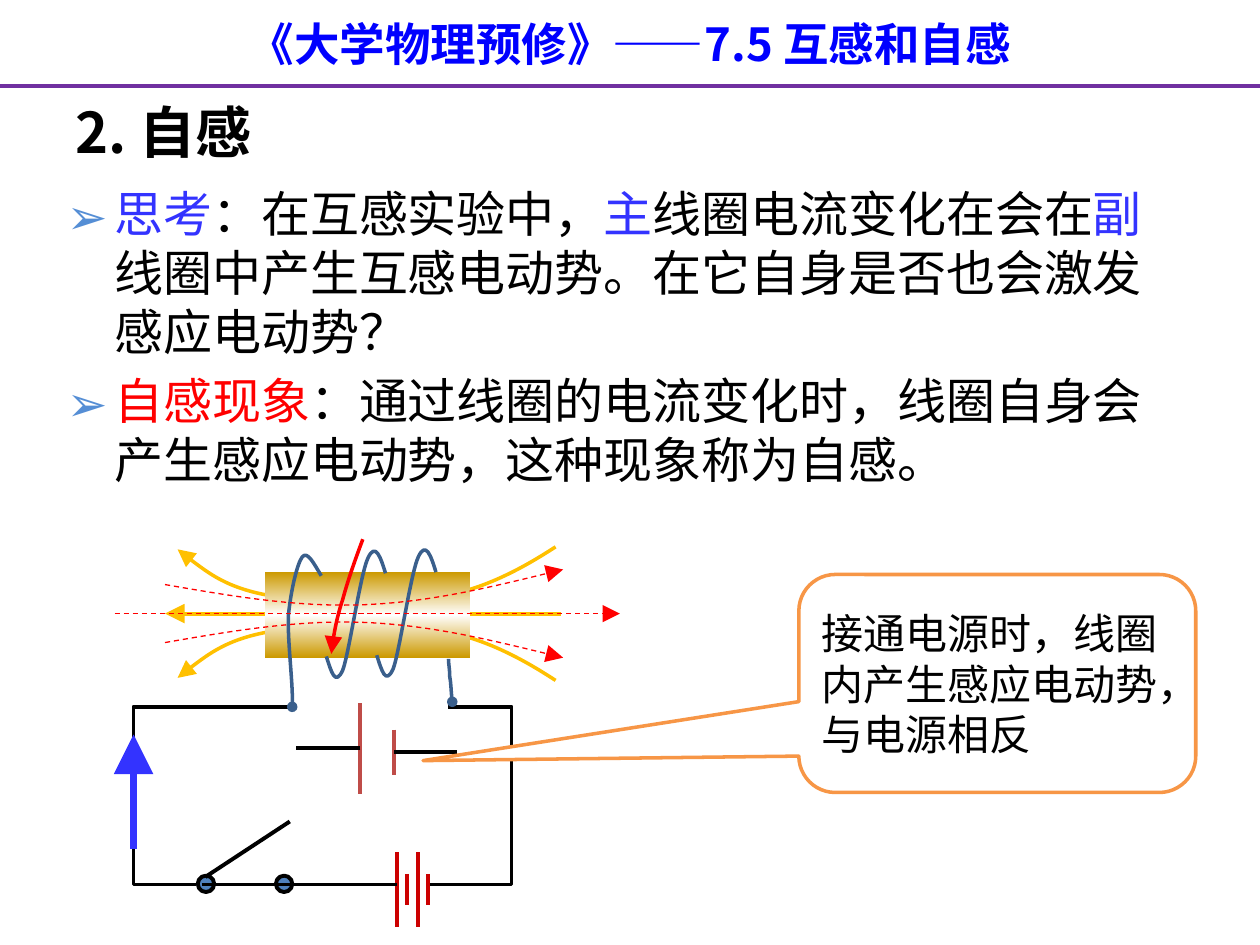
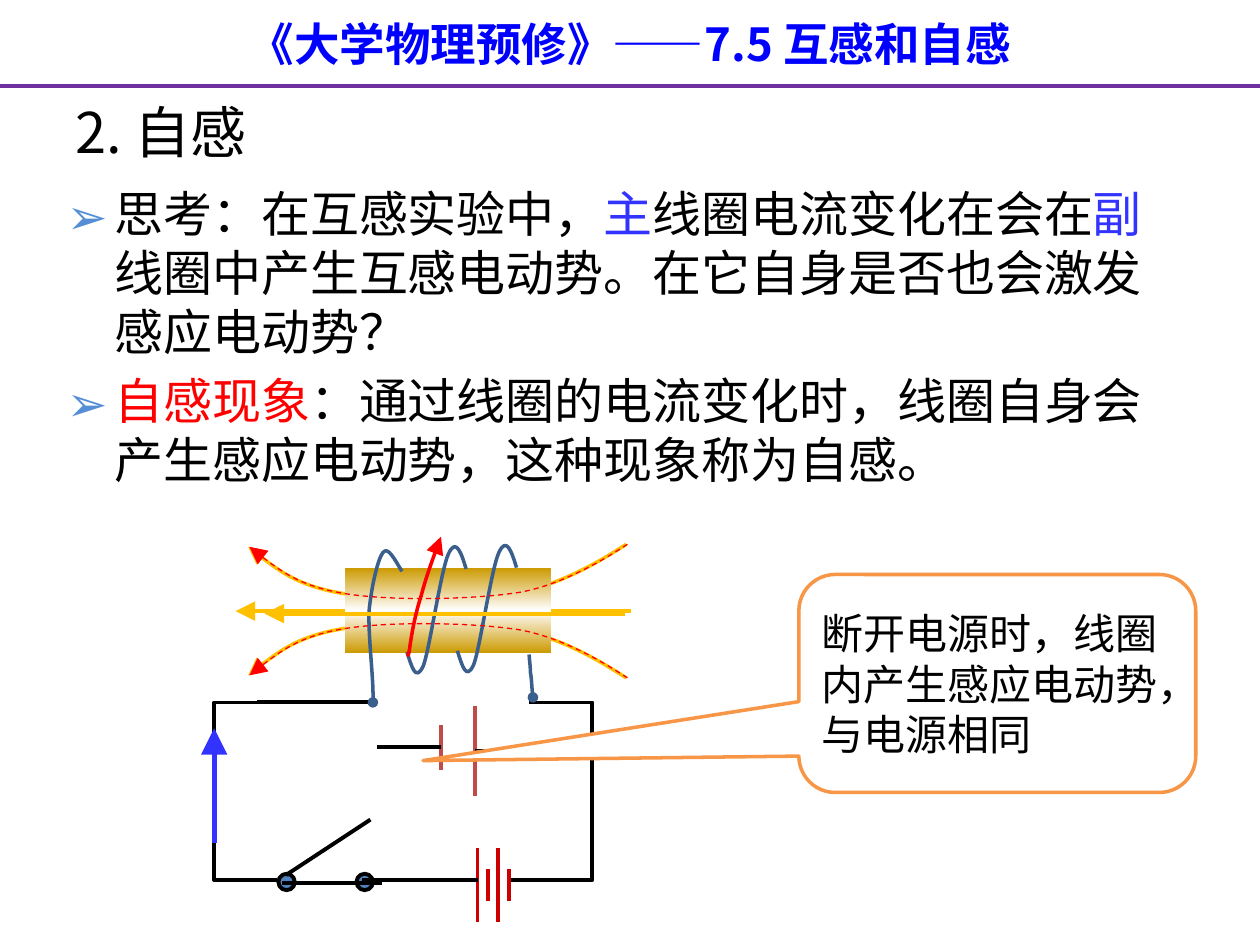
from copy import deepcopy

from lxml.etree import SubElement
from pptx import Presentation
from pptx.dml.color import RGBColor
from pptx.enum.dml import MSO_LINE_DASH_STYLE as Dash
from pptx.enum.shapes import MSO_CONNECTOR as Connector, MSO_SHAPE as Shape
from pptx.enum.text import MSO_ANCHOR as Anchor, PP_ALIGN as Align
from pptx.oxml.ns import qn
from pptx.util import Inches, Pt

COLUMNS, ROWS = 100, 75
WIDTH, HEIGHT = Inches(10), Inches(7.5)
FONT = "Noto Sans CJK SC"
BLACK, WHITE, RED, BLUE = "000000", "FFFFFF", "FF0000", "3333FF"
GOLD, BRASS, COIL, CONTACT = "FFC000", "CC9900", "3A5F8C", "4F81BD"
BATTERY, PLATE, ORANGE = "CC0000", "BF4C48", "F79646"
HEADING, RULE, BULLET = "0000FF", "7030A0", "558ED5"

AXIS = 48.7
FIELD_CURVE = [(44.1, 5.3), (43, 4.6), (39.4, 2.2), (35.6, 1.5),
               (31.9, 0.9), (25.2, 0.8), (21.6, 1.4),
               (18, 2), (15.3, 4.1), (14.1, 5.1)]
INDUCED_CURVE = [(13.1, 2.3), (18.3, 1.4), (23.5, 0.5), (28.8, 0.7),
                 (34, 0.9), (39.4, 2.2), (44.7, 3.5)]
COIL_START = [(23.2, 56.1), (23.3, 54.5), (22.8, 50.7), (22.9, 48.8),
              (23.1, 46.8), (23.6, 44.7), (24, 44.2),
              (24.4, 43.7), (24.9, 44.7), (25.5, 45.7)]
COIL_TURN = [(25.9, 52.1), (26.3, 53.3), (26.6, 54.5), (27.2, 53.2),
             (27.7, 51.9), (28.6, 45.6), (29.2, 44.3),
             (29.8, 43), (30.2, 44.2), (30.6, 45.5)]
COIL_END = [(35.6, 52.3), (35.6, 52.7), (35.7, 53.1), (35.7, 53.7),
            (35.8, 54.2), (35.8, 54.9), (35.9, 55.7)]
COIL_CURRENT = [(28.8, 42.8), (28.2, 44.4), (27.6, 46.1), (27.2, 47.6),
                (26.7, 49.1), (26.4, 51), (26.3, 51.8),
                (26.1, 52.5), (26.2, 52.2), (26.3, 51.9)]


def paint(hex_color):
    return RGBColor.from_string(hex_color)


def add_span(para, text, size=24, color=BLACK, bold=False):
    span = para.add_run()
    span.text = text
    span.font.size = Pt(size)
    span.font.bold = bold
    span.font.name = FONT
    span.font.color.rgb = paint(color)
    SubElement(span.font._element, qn("a:ea"), typeface=FONT)


def shifted(points, right=0, down=0):
    return [(x + right, y + down) for x, y in points]


def about_axis(points, side):
    return [(x, AXIS + side * y) for x, y in points]


class LessonSlide:
    def __init__(self, deck):
        self.page = deck.slides.add_slide(deck.slide_layouts[6])
        self.shapes = self.page.shapes
        self.move()

    def move(self, right=0, down=0):
        self.right, self.down = right, down

    def spot(self, x, y):
        return (round((x + self.right) * WIDTH / COLUMNS),
                round((y + self.down) * HEIGHT / ROWS))

    def area(self, x, y, width, height):
        return (*self.spot(x, y), round(width * WIDTH / COLUMNS),
                round(height * HEIGHT / ROWS))

    def stroke(self, item, color, weight, dashed=False, head=None, tail=None):
        item.line.color.rgb = paint(color)
        item.line.width = Pt(weight)
        if dashed:
            item.line.dash_style = Dash.DASH
        outline = item.line._get_or_add_ln()
        for tag, kind in (("a:headEnd", head), ("a:tailEnd", tail)):
            if kind:
                size = "lg" if kind == "triangle" else "med"
                SubElement(outline, qn(tag), type=kind, w=size, len=size)

    def line(self, start, end, color=BLACK, weight=2.25, **style):
        line = self.shapes.add_connector(
            Connector.STRAIGHT, *self.spot(*start), *self.spot(*end))
        self.stroke(line, color, weight, **style)
        SubElement(line._element.spPr, qn("a:effectLst"))

    def plate(self, x, middle, half, color):
        self.line((x, middle - half), (x, middle + half), color)

    def outline(self, points, color=BLACK, weight=2.25, **style):
        spots = [self.spot(*point) for point in points]
        builder = self.shapes.build_freeform(*spots[0])
        builder.add_line_segments(spots[1:], close=False)
        shape = builder.convert_to_shape()
        shape.shadow.inherit = False
        shape.fill.background()
        self.stroke(shape, color, weight, **style)
        return shape

    def curve(self, points, color, weight=2, **style):
        shape = self.outline(points, color, weight, **style)
        steps = list(shape._element.iter(qn("a:lnTo")))
        route = steps[0].getparent()
        for first in range(0, len(steps), 3):
            bend = SubElement(route, qn("a:cubicBezTo"))
            for step in steps[first:first + 3]:
                bend.append(step[0])
                route.remove(step)

    def solid(self, kind, place, fill=None):
        shape = self.shapes.add_shape(kind, *self.area(*place))
        shape.shadow.inherit = False
        if fill:
            shape.fill.solid()
            shape.fill.fore_color.rgb = paint(fill)
        return shape

    def core(self, place):
        core = self.solid(Shape.RECTANGLE, place)
        core.line.fill.background()
        core.fill.gradient()
        core.fill.gradient_angle = 90
        stop_list = core._element.spPr.find(".//" + qn("a:gsLst"))
        stop_list.append(deepcopy(stop_list[0]))
        colors = (BRASS, WHITE, BRASS)
        for index, stop in enumerate(core.fill.gradient_stops):
            stop.position = index / 2
            stop.color.rgb = paint(colors[index])

    def text(self, place, paragraphs, anchor=Anchor.TOP, align=Align.LEFT,
             size=24, bold=False, bulleted=False):
        box = self.shapes.add_textbox(*self.area(*place))
        frame = box.text_frame
        frame.word_wrap = True
        frame.vertical_anchor = anchor
        for index, spans in enumerate(paragraphs):
            para = frame.add_paragraph() if index else frame.paragraphs[0]
            para.alignment = align
            if index:
                para.space_before = Pt(6)
            if bulleted:
                self.bullet(para)
            for words, color in spans:
                add_span(para, words, size=size, color=color, bold=bold)

    def bullet(self, para):
        layout = para._p.get_or_add_pPr()
        indent = Inches(0.38)
        layout.set("marL", str(indent))
        layout.set("indent", str(-indent))
        SubElement(SubElement(layout, qn("a:buClr")), qn("a:srgbClr"), val=BULLET)
        SubElement(layout, qn("a:buFont"), typeface=FONT)
        SubElement(layout, qn("a:buChar"), char="➢")

    def lesson(self, bold_title, think_color):
        self.text((0, 0.8, 100, 5.4),
                  [[("《大学物理预修》——7.5 互感和自感", HEADING)]],
                  align=Align.CENTER, size=26, bold=True)
        self.line((0, 6.8), (100, 6.8), RULE)
        self.text((5, 6.9, 90, 7), [[("2. 自感", BLACK)]],
                  anchor=Anchor.MIDDLE, size=32, bold=bold_title)
        self.text((4.3, 14.1, 90, 31.5), [
            [("思考", think_color), ("：在互感实验中，", BLACK), ("主", BLUE),
             ("线圈电流变化在会在", BLACK), ("副", BLUE),
             ("线圈中产生互感电动势。在它自身是否也会激发感应电动势？", BLACK)],
            [("自感现象", RED),
             ("：通过线圈的电流变化时，线圈自身会产生感应电动势，这种现象称为自感。",
              BLACK)],
        ], size=28, bulleted=True)

    def field(self, **style):
        for side in (1, -1):
            self.curve(about_axis(FIELD_CURVE, side), tail="triangle", **style)

    def main_field(self):
        self.field(color=GOLD)
        self.line((44.5, AXIS), (13.1, AXIS), GOLD, tail="triangle")

    def switch(self):
        for x in (15.7, 21.9):
            contact = self.solid(Shape.OVAL, (x, 69.5, 1.3, 1.3), CONTACT)
            self.stroke(contact, BLACK, 2.25)
        self.line((16.3, 69.6), (23, 65.2))
        self.line((16, 70.2), (23.9, 70.2))

    def circuit(self):
        top, bottom = 56.1, 70.2
        for inner_top, side, inner_bottom in ((35.6, 40.6, 34), (14.4, 10.6, 15.6)):
            self.outline([(inner_top, top), (side, top),
                          (side, bottom), (inner_bottom, bottom)])
        self.line((14, top), (23.1, top))
        for index in range(4):
            self.plate(31.5 + 0.83 * index, 70.6, 1.25 if index % 2 else 2.95, BATTERY)
        self.line((22.3, bottom), (31.5, bottom))
        self.core((21, 45.4, 16.3, 6.8))
        self.curve(COIL_START, COIL, head="oval")
        self.curve(COIL_TURN, COIL)
        self.curve(shifted(COIL_TURN, 4, -0.1), COIL)
        self.curve(COIL_END, COIL, tail="oval")

    def induced_source(self, left_half, right_half):
        for x, middle, half, lead in ((28.6, 59.4, left_half, -5.1),
                                      (31.3, 59.7, right_half, 5)):
            self.plate(x, middle, half, PLATE)
            self.line((x, middle), (x + lead, middle))

    def current(self, weight):
        self.line((10.6, 67.4), (10.6, 58.3), BLUE, weight, tail="triangle")

    def callout(self, words):
        bubble = self.solid(Shape.ROUNDED_RECTANGULAR_CALLOUT,
                            (63.4, 45.6, 31.5, 17.3), WHITE)
        for index, value in enumerate((-1.447, 0.354, 0.167)):
            bubble.adjustments[index] = value
        self.stroke(bubble, ORANGE, 2)
        bubble.text_frame.word_wrap = True
        bubble.text_frame.vertical_anchor = Anchor.MIDDLE
        para = bubble.text_frame.paragraphs[0]
        para.alignment = Align.LEFT
        add_span(para, words)


def build_switch_on(deck):
    slide = LessonSlide(deck)
    slide.lesson(bold_title=True, think_color=BLUE)
    slide.main_field()
    slide.switch()
    slide.circuit()
    slide.current(weight=4.5)
    slide.curve(COIL_CURRENT, RED, tail="triangle")
    slide.induced_source(left_half=3.6, right_half=1.8)
    slide.callout("接通电源时，线圈内产生感应电动势，与电源相反")
    induced = dict(color=RED, weight=0.75, dashed=True, tail="triangle")
    slide.line((9.1, AXIS), (49.2, AXIS), **induced)
    for side in (-1, 1):
        slide.curve(about_axis(INDUCED_CURVE, side), **induced)


def build_switch_off(deck):
    slide = LessonSlide(deck)
    slide.lesson(bold_title=False, think_color=BLACK)
    slide.move(5.6, -0.2)
    slide.main_field()
    slide.move(6.4, -0.15)
    slide.switch()
    slide.move(6.4, -0.35)
    slide.circuit()
    slide.move(6.4, -0.1)
    slide.induced_source(left_half=1.8, right_half=3.6)
    slide.move(6.4, -0.5)
    slide.current(weight=3)
    slide.move()
    slide.line((49.6, AXIS), (21, AXIS), GOLD, tail="triangle")
    slide.move(6.2, -0.2)
    slide.curve(COIL_CURRENT, RED, head="triangle")
    slide.move(5.7, -0.2)
    slide.field(color=RED, weight=0.75, dashed=True)
    slide.move()
    slide.callout("断开电源时，线圈内产生感应电动势，与电源相同")


def main():
    deck = Presentation()
    deck.slide_width, deck.slide_height = WIDTH, HEIGHT
    build_switch_on(deck)
    build_switch_off(deck)
    deck.save("out.pptx")


if __name__ == "__main__":
    main()
